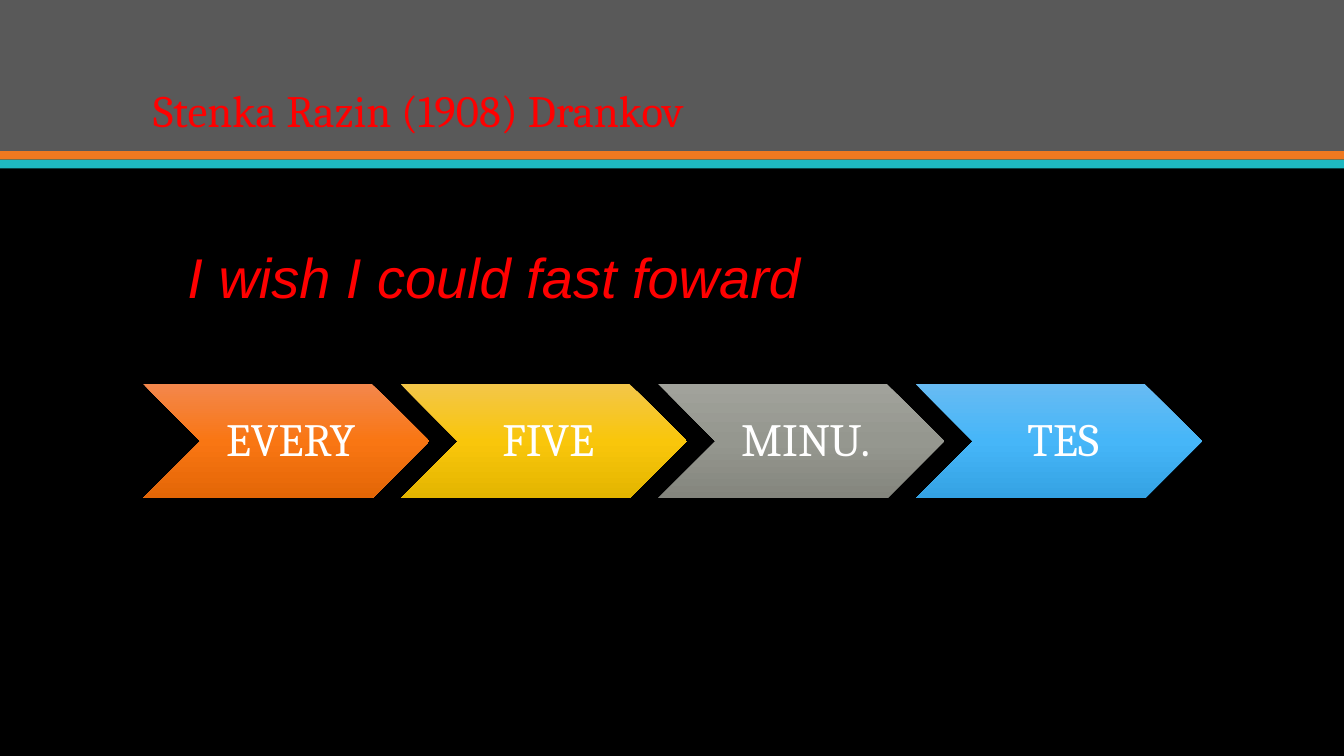
from copy import deepcopy

from pptx import Presentation
from pptx.dml.color import RGBColor
from pptx.enum.shapes import MSO_SHAPE
from pptx.enum.text import MSO_ANCHOR, PP_ALIGN
from pptx.oxml.ns import qn
from pptx.util import Inches, Pt

SLIDE_WIDTH, SLIDE_HEIGHT = 13.33, 7.5
CONTENT_LEFT, CONTENT_WIDTH = 1.42, 10.5
STRIPE_HEIGHT = 0.085
COLORS = {
    "background": "000000",
    "header": "595959",
    "orange": "EF7920",
    "teal": "1EB8C1",
    "red": "FF0000",
    "white": "FFFFFF",
}
STEPS = {
    "EVERY": ("F3874C", "F97613", "E36606"),
    "FIVE": ("F3C649", "F9C60B", "E3B500"),
    "MINU.": ("A1A29B", "95978F", "84857D"),
    "TES": ("67BBF3", "46B6F8", "34A2E3"),
}
TITLE_FONT = {"name": "Cambria", "size": Pt(32)}
STEP_FONT = {"name": "Cambria", "size": Pt(33)}
QUOTE_FONT = {"name": "Arial", "size": Pt(40), "italic": True}


def set_values(target, values):
    for name, value in values.items():
        setattr(target, name, value)


def write_text(shape, text, font, color, margins, anchor, alignment, spacing):
    frame = shape.text_frame
    sides = ("margin_left", "margin_top", "margin_right", "margin_bottom")
    set_values(frame, dict(zip(sides, map(Inches, margins))))
    set_values(frame, {"word_wrap": True, "vertical_anchor": anchor})
    paragraph = frame.paragraphs[0]
    set_values(paragraph, {"alignment": alignment, "line_spacing": spacing})
    run = paragraph.add_run()
    run.text = text
    set_values(run.font, font)
    run.font.color.rgb = RGBColor.from_string(COLORS[color])


def add_plain_shape(slide, kind, *box):
    shape = slide.shapes.add_shape(kind, *map(Inches, box))
    shape.shadow.inherit = False
    shape.line.fill.background()
    return shape


def add_band(slide, top, height, color):
    band = add_plain_shape(slide, MSO_SHAPE.RECTANGLE, 0, top, SLIDE_WIDTH, height)
    band.fill.solid()
    band.fill.fore_color.rgb = RGBColor.from_string(COLORS[color])


def fill_gradient(shape, colors):
    shape.fill.gradient()
    shape.fill.gradient_angle = 270
    stop_list = shape._element.spPr.find(".//" + qn("a:gsLst"))
    stop_list.insert(1, deepcopy(stop_list[0]))
    for index, (stop, color) in enumerate(zip(shape.fill.gradient_stops, colors)):
        stop.position = index / 2
        stop.color.rgb = RGBColor.from_string(color)


def add_steps(slide, top):
    width = CONTENT_WIDTH / (0.9 * (len(STEPS) - 1) + 1)
    for index, (label, colors) in enumerate(STEPS.items()):
        left = CONTENT_LEFT + index * 0.9 * width
        chevron = add_plain_shape(slide, MSO_SHAPE.CHEVRON, left, top, width, 0.4 * width)
        chevron.adjustments[0] = 0.5
        fill_gradient(chevron, colors)
        write_text(chevron, label, STEP_FONT, "white", (0.14, 0.05, 0.05, 0.05),
                   MSO_ANCHOR.MIDDLE, PP_ALIGN.CENTER, 0.9)


def add_text(slide, box, *text_format):
    write_text(slide.shapes.add_textbox(*map(Inches, box)), *text_format)


def main():
    presentation = Presentation()
    presentation.slide_width = Inches(SLIDE_WIDTH)
    presentation.slide_height = Inches(SLIDE_HEIGHT)
    slide = presentation.slides.add_slide(presentation.slide_layouts[6])
    slide.background.fill.solid()
    slide.background.fill.fore_color.rgb = RGBColor.from_string(COLORS["background"])

    header_height = SLIDE_HEIGHT / 5
    add_band(slide, 0, header_height, "header")
    add_band(slide, header_height, STRIPE_HEIGHT, "orange")
    add_band(slide, header_height + STRIPE_HEIGHT, STRIPE_HEIGHT, "teal")
    add_text(slide, (CONTENT_LEFT, 0.28, CONTENT_WIDTH, 1.13),
             "Stenka Razin (1908) Drankov", TITLE_FONT, "red",
             (0.1, 0.05, 0.1, 0.05), MSO_ANCHOR.BOTTOM, PP_ALIGN.LEFT, 0.9)
    add_steps(slide, 3.81)
    add_text(slide, (1.61, 2.31, 9.57, 1.03),
             "I wish I could fast foward", QUOTE_FONT, "red",
             (0.25, 0.1, 0.1, 0.1), MSO_ANCHOR.TOP, PP_ALIGN.LEFT, 1.0)
    presentation.save("out.pptx")


if __name__ == "__main__":
    main()
